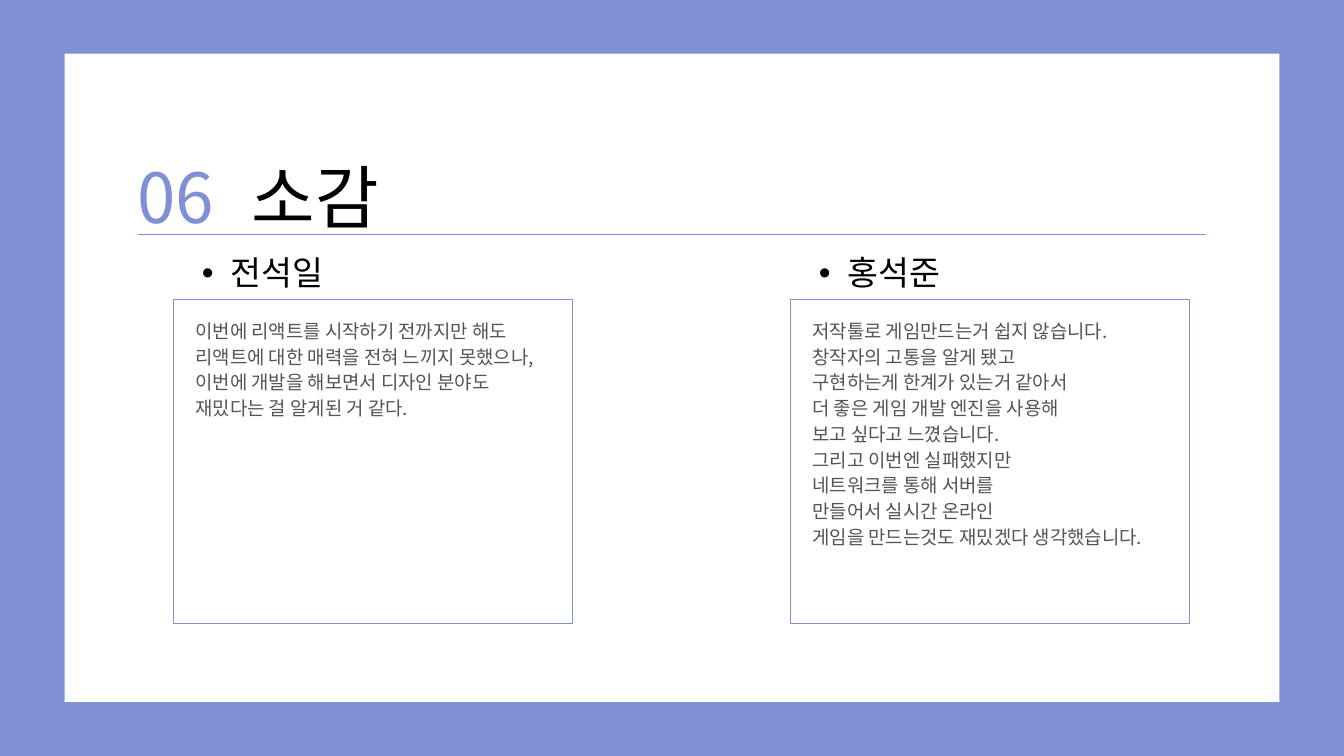
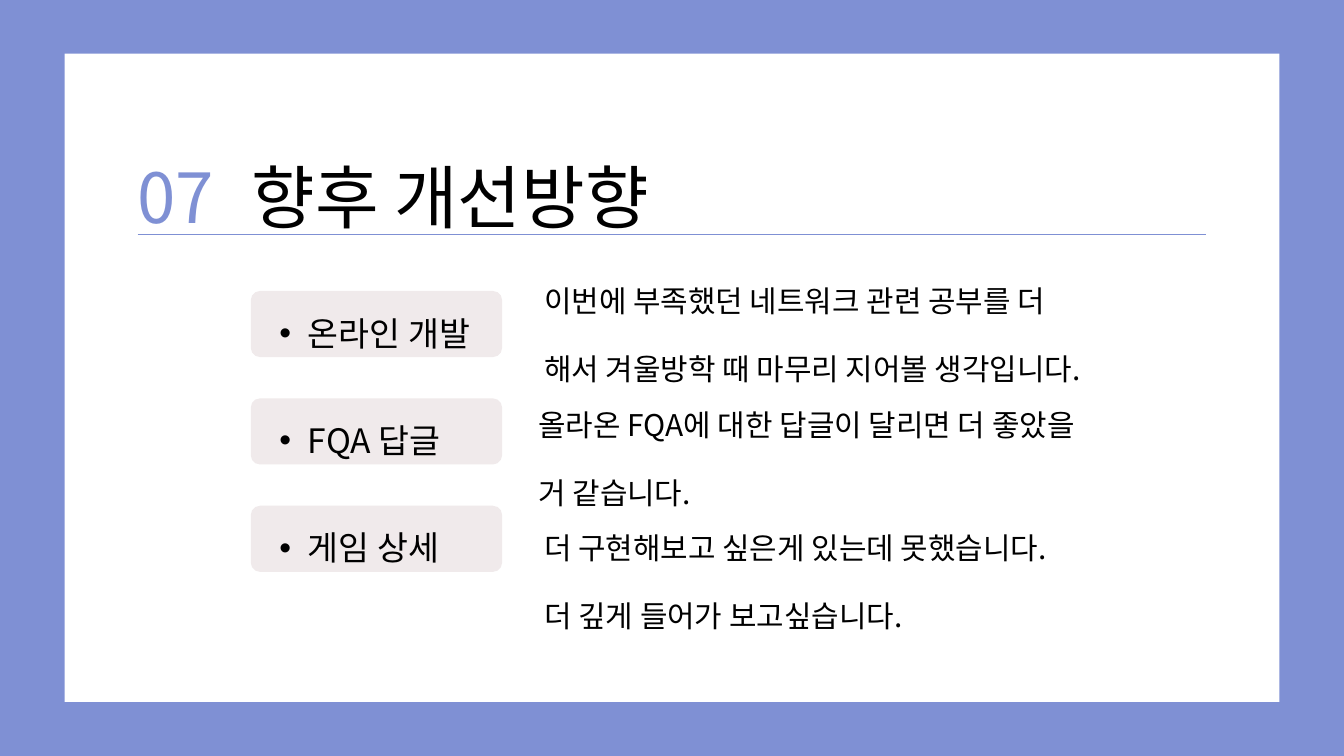
from lxml.etree import SubElement
from pptx import Presentation
from pptx.dml.color import RGBColor
from pptx.enum.shapes import MSO_CONNECTOR, MSO_SHAPE
from pptx.enum.text import MSO_ANCHOR, MSO_AUTO_SIZE, PP_ALIGN
from pptx.oxml.ns import qn
from pptx.util import Cm, Pt

FONT = "Noto Sans CJK KR"
COLORS = {
    "accent": "7F90D4",
    "card": "FFFFFF",
    "pill": "F0EAEB",
    "text": "000000",
    "muted": "545454",
}


def color(name):
    return RGBColor.from_string(COLORS[name])


def write_text(shape, lines, left, top, width, height, size, spacing, ink="text", bullet=False):
    """Place a text shape and fill it with one paragraph per line."""
    shape.left, shape.top, shape.width, shape.height = Cm(left), Cm(top), Cm(width), Cm(height)
    frame = shape.text_frame
    frame.word_wrap = True
    frame.auto_size = MSO_AUTO_SIZE.NONE
    frame.vertical_anchor = MSO_ANCHOR.TOP
    frame.margin_left = frame.margin_top = frame.margin_right = frame.margin_bottom = 0
    for index, line in enumerate(lines):
        paragraph = frame.add_paragraph() if index else frame.paragraphs[0]
        paragraph.alignment = PP_ALIGN.LEFT
        paragraph.space_before = Pt(0)
        paragraph.line_spacing = Pt(spacing)
        if bullet:
            paragraph.level = 1
            properties = paragraph._p.get_or_add_pPr()
            properties.set("marL", str(Cm(2.16)))
            properties.set("indent", str(Cm(-1.08)))
            SubElement(properties, qn("a:buFont"), typeface="Arial")
            SubElement(properties, qn("a:buChar"), char="•")
        run = paragraph.add_run()
        run.text = line
        run.font.size = Pt(size)
        run.font.color.rgb = color(ink)
        run.font.name = FONT
        SubElement(run._r.get_or_add_rPr(), qn("a:ea"), typeface=FONT)


presentation = Presentation()
presentation.slide_width, presentation.slide_height = Cm(50.8), Cm(28.58)
background = presentation.slide_master.background.fill
background.solid()
background.fore_color.rgb = color("accent")

# Card, number, title and rule on every slide
slides = []
for number, title in [("06", "소감"), ("07", "향후 개선방향")]:
    slide = presentation.slides.add_slide(presentation.slide_layouts[5])
    slides.append(slide)

    card = slide.shapes.add_shape(MSO_SHAPE.RECTANGLE, Cm(2.44), Cm(2.03), Cm(45.92), Cm(24.51))
    card.shadow.inherit = False
    card.fill.solid()
    card.fill.fore_color.rgb = color("card")
    card.line.fill.background()
    slide.shapes._spTree.insert(2, card._element)  # behind the title

    rule = slide.shapes.add_connector(MSO_CONNECTOR.STRAIGHT, Cm(5.2), Cm(8.86), Cm(45.6), Cm(8.86))
    rule.line.color.rgb = color("accent")
    rule.line.width = Pt(0.75)
    SubElement(rule._element.spPr, qn("a:effectLst"))

    number_box = slide.shapes.add_textbox(0, 0, 0, 0)
    write_text(number_box, [number], 5.2, 5.3, 7, 3.55, size=74, spacing=103.6, ink="accent")
    write_text(slide.shapes.title, [title], 9.52, 5.3, 22.48, 3.55, size=74, spacing=103.6)

impressions_slide, improvements_slide = slides

# 06: one outlined panel per team member
impressions = [
    (6.55, "전석일", [
        "이번에 리액트를 시작하기 전까지만 해도 리액트에 대한 매력을 전혀 느끼지 못했으나, "
        "이번에 개발을 해보면서 디자인 분야도 재밌다는 걸 알게된 거 같다.",
    ]),
    (29.87, "홍석준", [
        "저작툴로 게임만드는거 쉽지 않습니다.",
        "창작자의 고통을 알게 됐고",
        "구현하는게 한계가 있는거 같아서",
        "더 좋은 게임 개발 엔진을 사용해",
        "보고 싶다고 느꼈습니다.",
        "그리고 이번엔 실패했지만",
        "네트워크를 통해 서버를",
        "만들어서 실시간 온라인",
        "게임을 만드는것도 재밌겠다 생각했습니다.",
    ]),
]
shapes = impressions_slide.shapes
for left, member, lines in impressions:
    panel = shapes.add_shape(MSO_SHAPE.RECTANGLE, Cm(left), Cm(11.33), Cm(15.08), Cm(12.23))
    panel.shadow.inherit = False
    panel.fill.background()
    panel.line.color.rgb = color("accent")
    panel.line.width = Pt(0.75)
    write_text(shapes.add_textbox(0, 0, 0, 0), [member], left, 8.76, 15.08, 2.1,
               size=36, spacing=65.2, bullet=True)
    write_text(shapes.add_textbox(0, 0, 0, 0), lines, left + 0.84, 11.96, 13.4, 9.47,
               size=20.2, spacing=27.6, ink="muted")

# 07: a pill with its explanation on each row
improvements = [
    ("온라인 개발", 20.57, ["이번에 부족했던 네트워크 관련 공부를 더 해서 겨울방학 때 마무리 지어볼 생각입니다."]),
    ("FQA 답글", 20.35, ["올라온 FQA에 대한 답글이 달리면 더 좋았을 거 같습니다."]),
    ("게임 상세", 20.57, ["더 구현해보고 싶은게 있는데 못했습니다.", "더 깊게 들어가 보고싶습니다."]),
]
shapes = improvements_slide.shapes
for row, (topic, left, lines) in enumerate(improvements):
    pill_top = 11 + 4.06 * row
    pill = shapes.add_shape(MSO_SHAPE.ROUNDED_RECTANGLE, Cm(9.48), Cm(pill_top), Cm(9.5), Cm(2.5))
    pill.adjustments[0] = 0.14
    pill.shadow.inherit = False
    pill.fill.solid()
    pill.fill.fore_color.rgb = color("pill")
    pill.line.fill.background()
    write_text(shapes.add_textbox(0, 0, 0, 0), [topic], 9.48, pill_top - 0.56, 9.5, 2.57,
               size=36, spacing=82.1, bullet=True)
    write_text(shapes.add_textbox(0, 0, 0, 0), lines, left, 9.48 + 4.66 * row, 21.26, 4.8,
               size=32, spacing=73)

presentation.save("out.pptx")
